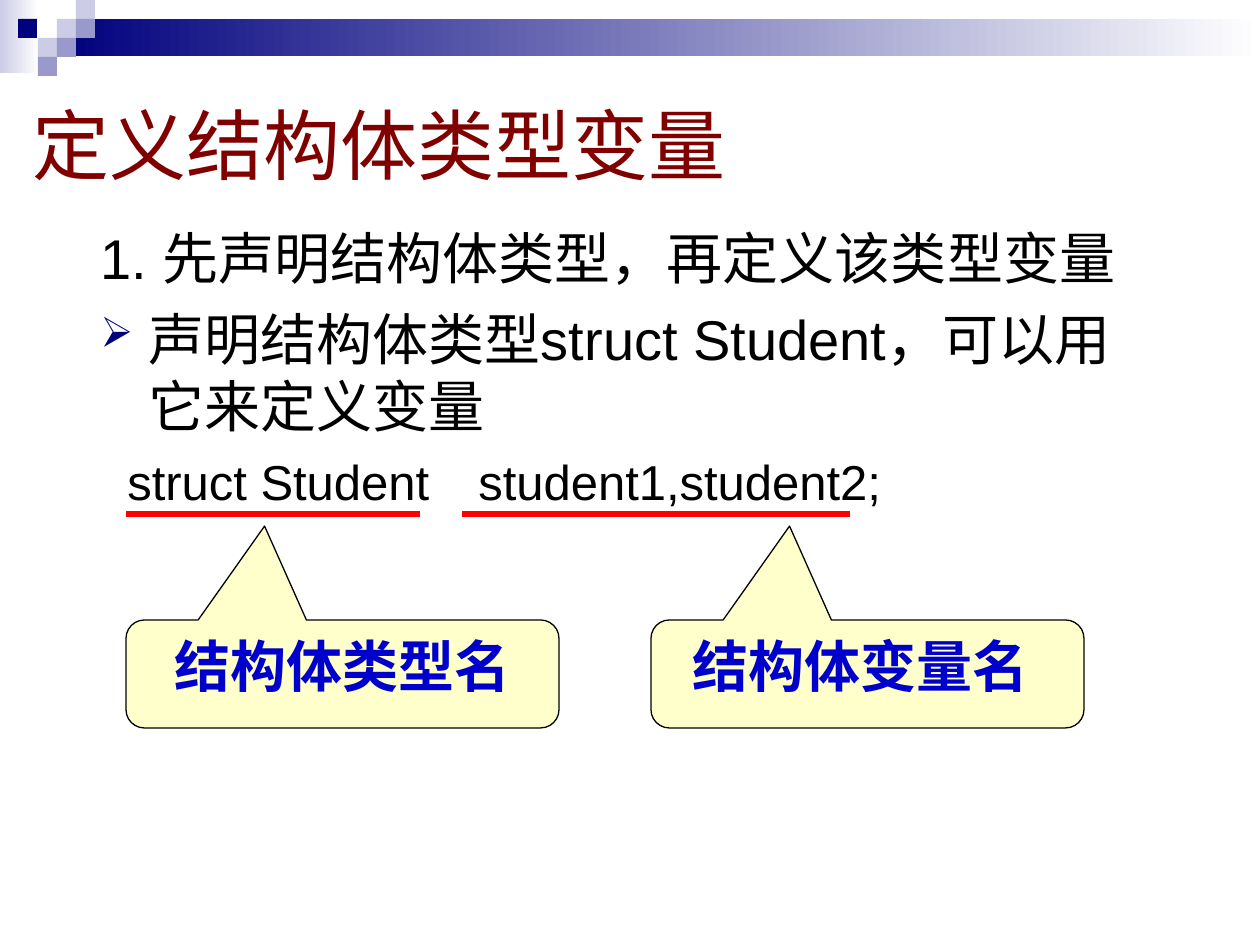
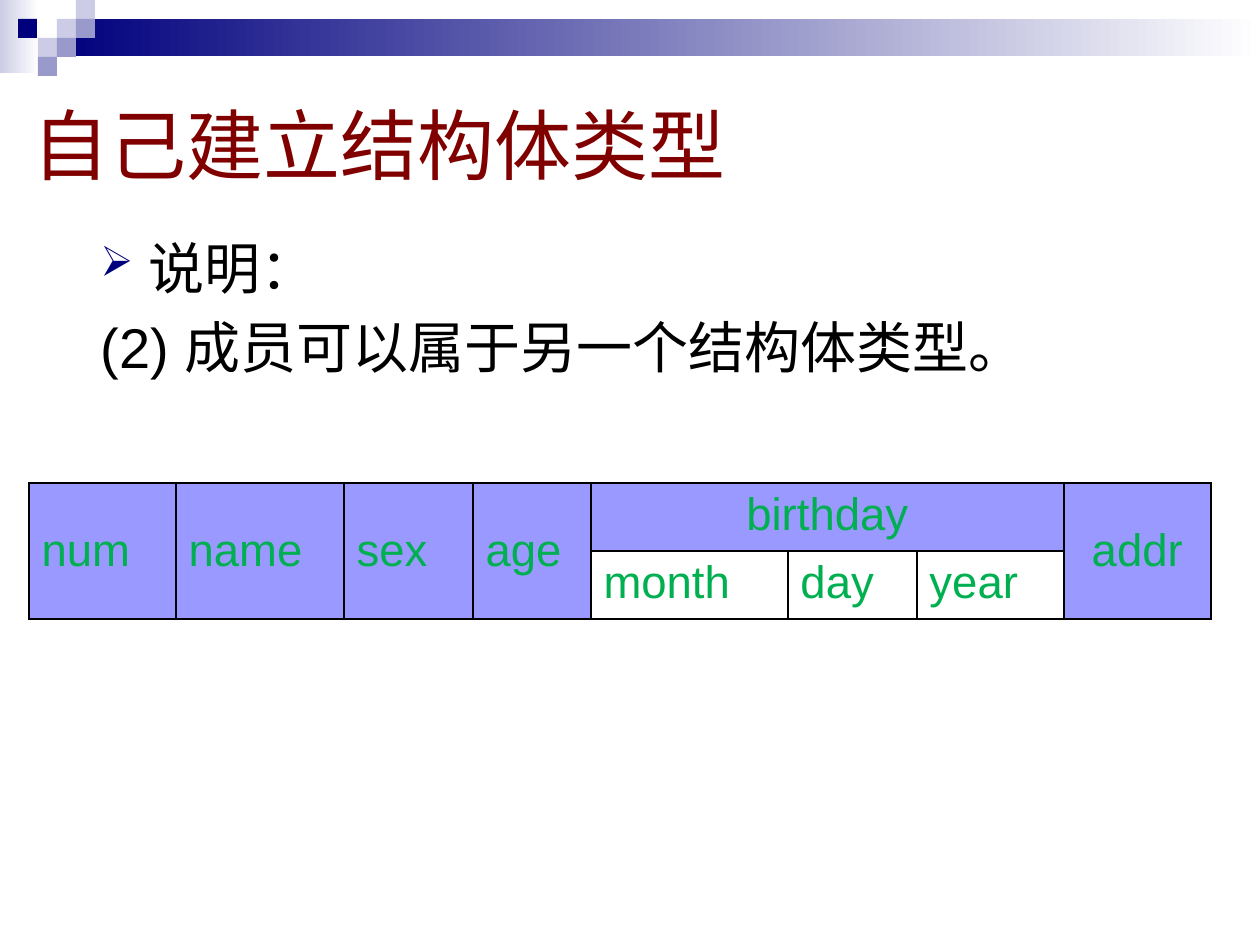
from dataclasses import dataclass
from itertools import product

from lxml.etree import SubElement
from pptx import Presentation
from pptx.dml.color import RGBColor as Rgb
from pptx.enum.shapes import MSO_CONNECTOR as Connector, MSO_SHAPE as Shape
from pptx.enum.text import MSO_ANCHOR as Anchor, MSO_AUTO_SIZE as AutoSize, PP_ALIGN as Align
from pptx.oxml import parse_xml
from pptx.oxml.ns import nsdecls, qn
from pptx.util import Emu, Pt

PX_PER_INCH = 126


def px(length):
    """Turn whole pixels into EMU."""
    return Emu(round(length * 914400 / PX_PER_INCH))


@dataclass(frozen=True)
class Theme:
    """Colours, fonts and type sizes of the deck."""
    navy: str = "00007D"
    lilac: str = "9999CC"
    mist: str = "CCCCE6"
    white: str = "FFFFFF"
    black: str = "000000"
    maroon: str = "800000"
    red: str = "FF0000"
    cream: str = "FFFFCC"
    label_blue: str = "0000CC"
    member_fill: str = "9999FF"
    member_text: str = "00B050"
    font: str = "Arial"
    label_font: str = "DejaVu Sans"
    title_size: int = 44
    body_size: int = 32
    code_size: int = 28
    member_size: int = 26


def write(paragraph, text, *, size, color, font, bold=False, align=Align.LEFT,
          before=0, margin=0, indent=0, bullet=None, bullet_color=None, tab=None):
    """Put formatted text into a paragraph."""
    run = paragraph.add_run()
    run.text = text
    run.font.size, run.font.bold, run.font.name = Pt(size), bold, font
    run.font.color.rgb = Rgb.from_string(color)
    paragraph.alignment = align
    paragraph.space_before = Pt(before)
    props = paragraph.runs[0].font and paragraph._p.get_or_add_pPr()
    props.set("marL", str(px(margin)))
    props.set("indent", str(px(indent)))
    if bullet:
        SubElement(SubElement(props, qn("a:buClr")), qn("a:srgbClr"), val=bullet_color)
        SubElement(props, qn("a:buSzPct"), val="75000")
        SubElement(props, qn("a:buChar"), char=bullet)
    else:
        SubElement(props, qn("a:buNone"))
    if tab:
        SubElement(SubElement(props, qn("a:tabLst")), qn("a:tab"), pos=str(px(tab)), algn="l")


class Deck:
    """Holds the theme and the current slide."""

    def __init__(self, theme):
        """Start an empty 10 by 7.5 inch presentation."""
        self.theme = theme
        self.prs = Presentation()
        self.prs.slide_width, self.prs.slide_height = px(1260), px(945)
        self.layout = self.prs.slide_layouts[5]
        self.slide = None

    def title_slide(self, text):
        """Add a slide with its title."""
        first = self.slide is None
        self.slide = self.prs.slides.add_slide(self.layout)
        title = self.slide.shapes.title
        title.left, title.top, title.width, title.height = map(px, (20, 91, 1221, 106))
        title.text_frame.auto_size = AutoSize.NONE
        title.text_frame.vertical_anchor = Anchor.MIDDLE
        write(title.text_frame.paragraphs[0], text, size=self.theme.title_size,
              color=self.theme.maroon, font=self.theme.font)
        if first:
            self.header_band()

    def header_band(self):
        """Put the gradient band and its mosaic on the shared layout."""
        t = self.theme
        pieces = [self.box(0, 0, 39, 73, t.mist, fade=True),
                  self.box(57, 19, 1203, 37, t.navy, fade=True)]
        tiles = [(57, 19, t.mist), (76, 0, t.mist), (76, 19, t.lilac), (38, 38, t.mist),
                 (18, 19, t.navy), (57, 38, t.lilac), (38, 57, t.lilac)]
        tiles[0] = (57, 19, t.mist)
        pieces += [self.box(left, top, 19, 19, color) for left, top, color in tiles]
        for piece in pieces:
            self.layout.shapes.element.append(piece.element)

    def box(self, left, top, width, height, color, kind=Shape.RECTANGLE, fade=False):
        """Add a borderless shape, plain or fading to white on the right."""
        shape = self.slide.shapes.add_shape(kind, *map(px, (left, top, width, height)))
        shape.shadow.inherit = False
        shape.line.fill.background()
        if fade:
            shape.fill.gradient()
            shape.fill.gradient_angle = 180
            for stop, shade in zip(shape.fill.gradient_stops, (self.theme.white, color)):
                stop.color.rgb = Rgb.from_string(shade)
        else:
            shape.fill.solid()
            shape.fill.fore_color.rgb = Rgb.from_string(color)
        return shape

    def body(self, top, height, lines):
        """Add the body text from pairs of text and format."""
        area = self.slide.shapes.add_textbox(*map(px, (88, top, 1082, height)))
        frame = area.text_frame
        frame.word_wrap = True
        for index, (text, style) in enumerate(lines):
            paragraph = frame.add_paragraph() if index else frame.paragraphs[0]
            base = dict(size=self.theme.body_size, color=self.theme.black, font=self.theme.font,
                        before=8, margin=48, indent=-48)
            write(paragraph, text, **(base | style))

    def callout(self, left, text):
        """Add a rounded callout that points up at the code line."""
        t = self.theme
        shape = self.box(left, 620, 433, 108, t.cream, Shape.ROUNDED_RECTANGULAR_CALLOUT)
        for index, value in enumerate((-0.18, -1.37, 0.17)):
            shape.adjustments[index] = value
        shape.line.color.rgb = Rgb.from_string(t.black)
        shape.line.width = Pt(0.75)
        shape.text_frame.word_wrap = False
        shape.text_frame.vertical_anchor = Anchor.TOP
        write(shape.text_frame.paragraphs[0], text, size=t.body_size, color=t.label_blue,
              font=t.label_font, bold=True, align=Align.CENTER)

    def underline(self, start, end):
        """Underline a part of the code line."""
        line = self.slide.shapes.add_connector(Connector.STRAIGHT,
                                               *map(px, (start, 514, end, 514)))
        line.line.color.rgb = Rgb.from_string(self.theme.red)
        line.line.width = Pt(3)
        SubElement(line.element.spPr, qn("a:effectLst"))

    def member_table(self, widths, row_height, merges, members):
        """Add the table of structure members."""
        t = self.theme
        frame = self.slide.shapes.add_table(
            2, len(widths), *map(px, (29, 483, sum(widths), 2 * row_height)))
        table = frame.table
        table.first_row = table.horz_banding = False
        for column, width in zip(table.columns, widths):
            column.width = px(width)
        for row in table.rows:
            row.height = px(row_height)
        for start, end in merges:
            table.cell(*start).merge(table.cell(*end))
        for row, column in product(range(2), range(len(widths))):
            cell = table.cell(row, column)
            nested = row == 1 and not cell.is_spanned
            cell.fill.solid()
            cell.fill.fore_color.rgb = Rgb.from_string(t.white if nested else t.member_fill)
            self.cell_border(cell)
            if (row, column) in members:
                text, align = members[row, column]
                tall = cell.is_merge_origin and cell.span_height > 1
                cell.vertical_anchor = Anchor.MIDDLE if tall else Anchor.TOP
                write(cell.text_frame.paragraphs[0], text, size=t.member_size,
                      color=t.member_text, font=t.font, align=align)

    def cell_border(self, cell):
        """Draw a thin black line on each side of a cell."""
        props = cell._tc.get_or_add_tcPr()
        for index, side in enumerate("LRTB"):
            props.insert(index, parse_xml(
                f'<a:ln{side} {nsdecls("a")} w="{Pt(1.47)}"><a:solidFill>'
                f'<a:srgbClr val="{self.theme.black}"/></a:solidFill></a:ln{side}>'))


def main():
    """Build both slides and save them."""
    theme = Theme()
    deck = Deck(theme)
    arrow = dict(bullet="➢", bullet_color=theme.navy)
    code = dict(size=theme.code_size, before=7, margin=0, indent=27, tab=356)

    deck.title_slide("定义结构体类型变量")
    deck.body(217, 462, [
        ("1. 先声明结构体类型，再定义该类型变量", {}),
        ("声明结构体类型struct Student，可以用它来定义变量", arrow),
        ("struct Student\tstudent1,student2;", code)])
    for left, label in ((126, "结构体类型名"), (651, "结构体变量名 ")):
        deck.callout(left, label)
    for start, end in ((126, 420), (462, 850)):
        deck.underline(start, end)

    deck.title_slide("自己建立结构体类型")
    deck.body(227, 207, [("说明：", arrow),
                         ("(2) 成员可以属于另一个结构体类型。", dict(before=7))])
    members = {(0, column): (name, Align.LEFT)
               for column, name in enumerate(("num", "name", "sex", "age"))}
    members |= {(0, 4): ("birthday", Align.CENTER), (0, 7): ("addr", Align.CENTER)}
    members |= {(1, column): (name, Align.LEFT)
                for column, name in enumerate(("month", "day", "year"), start=4)}
    tall_cells = [((0, column), (1, column)) for column in (0, 1, 2, 3, 7)]
    deck.member_table((147, 168, 129, 118, 197, 129, 147, 147), 68,
                      tall_cells + [((0, 4), (0, 6))], members)
    deck.prs.save("out.pptx")


if __name__ == "__main__":
    main()
